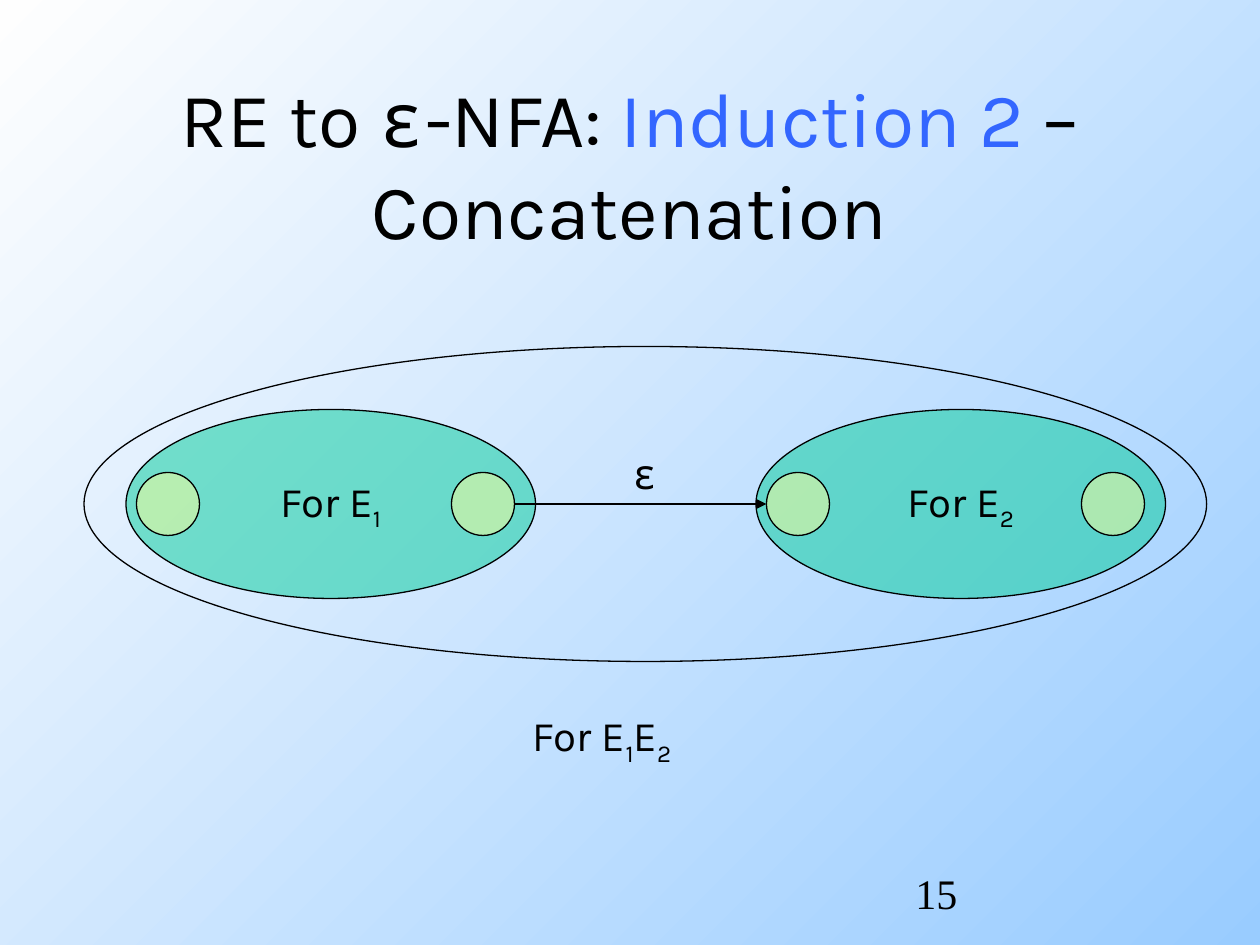
"""Build the slide on joining two automata by an epsilon move."""
from lxml import etree
from pptx import Presentation
from pptx import util as u
from pptx.dml import color
from pptx.enum import shapes, text
from pptx.oxml import ns

SANS, MONO, SERIF = "Karla", "Noto Sans Mono", "Times New Roman"
BLACK, BLUE, GREEN, CREAM = "000000", "3366FF", "00CC99", "FFFF99"
SKY = ["99CCFF", "FEFEFE"]
LOW = -25000

TITLE = [("RE to ", SANS, BLACK), ("ε", MONO, BLACK), ("-NFA: ", SANS, BLACK),
         ("Induction 2", SANS, BLUE), (" – Concatenation", SANS, BLACK)]
PARTS = [("1", 72), ("2", 432)]
WHOLE = [("For E",), ("1", SANS, BLACK, LOW), ("E",), ("2", SANS, BLACK, LOW)]
MID, WIDE, HIGH, DOT, EDGE = 288, 234, 108, 36, 6


def rgb(code):
    return color.RGBColor.from_string(code)


def child(node, tag, **attrs):
    return etree.SubElement(node, ns.qn(tag), attrs)


def write(frame, runs, size=24, align=text.PP_ALIGN.LEFT, wrap=False,
          anchor=text.MSO_ANCHOR.TOP):
    frame.word_wrap = wrap
    frame.auto_size = text.MSO_AUTO_SIZE.NONE
    frame.vertical_anchor = anchor
    para = frame.paragraphs[0]
    para.alignment = align
    for words, face, code, base in (r + (SANS, BLACK, 0)[len(r) - 1:] for r in runs):
        run = para.add_run()
        run.text = words
        run.font.name, run.font.size = face, u.Pt(size)
        run.font.color.rgb = rgb(code)
        if base:
            run.font._element.set("baseline", str(base))


def label(home, box, runs, wrap=False):
    write(home.add_textbox(*map(u.Pt, box)).text_frame, runs, wrap=wrap)


def oval(home, box, code=None):
    shape = home.add_shape(shapes.MSO_SHAPE.OVAL, *map(u.Pt, box))
    shape.shadow.inherit = False
    shape.line.color.rgb, shape.line.width = rgb(BLACK), u.Pt(0.75)
    if code:
        shape.fill.solid()
        shape.fill.fore_color.rgb = rgb(code)
        tint = shape._element.spPr.find(ns.qn("a:solidFill"))[0]
        child(tint, "a:alpha", val="50000")
    else:
        shape.fill.background()
    return shape


def part(home, name, left):
    body = oval(home, (left, MID - HIGH / 2, WIDE, HIGH), GREEN)
    write(body.text_frame, [("For E",), (name, SANS, BLACK, LOW)],
          align=text.PP_ALIGN.CENTER, anchor=text.MSO_ANCHOR.MIDDLE)
    ends = [left + EDGE, left + EDGE + 180]
    for end in ends:
        oval(home, (end, MID - DOT / 2, DOT, DOT), CREAM)
    return ends


def arrow(home, start, stop):
    link = home.add_connector(shapes.MSO_CONNECTOR.STRAIGHT,
                              *map(u.Pt, (start, MID, stop, MID)))
    link.line.color.rgb, link.line.width = rgb(BLACK), u.Pt(0.75)
    child(link.line._get_or_add_ln(), "a:tailEnd", type="triangle")
    child(link._element.spPr, "a:effectLst")


def main():
    deck = Presentation()
    deck.slide_width, deck.slide_height = u.Pt(720), u.Pt(540)
    slide = deck.slides.add_slide(deck.slide_layouts[5])
    back = slide.background.fill
    back.gradient()
    back.gradient_angle = 135
    for stop, code in zip(back.gradient_stops, SKY):
        stop.color.rgb = rgb(code)

    head = slide.shapes.title
    head.left, head.top, head.width, head.height = map(u.Pt, (0, 48, 720, 90))
    write(head.text_frame, TITLE, 44, text.PP_ALIGN.CENTER, True,
          text.MSO_ANCHOR.MIDDLE)

    home = slide.shapes
    first, last = [part(home, *item) for item in PARTS]
    oval(home, (48, MID - 90, 641.5, 180))
    label(home, (297.5, 402, 100, 40), WHOLE)
    arrow(home, first[1] + DOT, last[0])
    label(home, (354, 252, 26, 36), [("ε", MONO)])
    label(home, (516, 492, 150, 36), [("15", SERIF)], True)
    deck.save("out.pptx")


if __name__ == "__main__":
    main()
